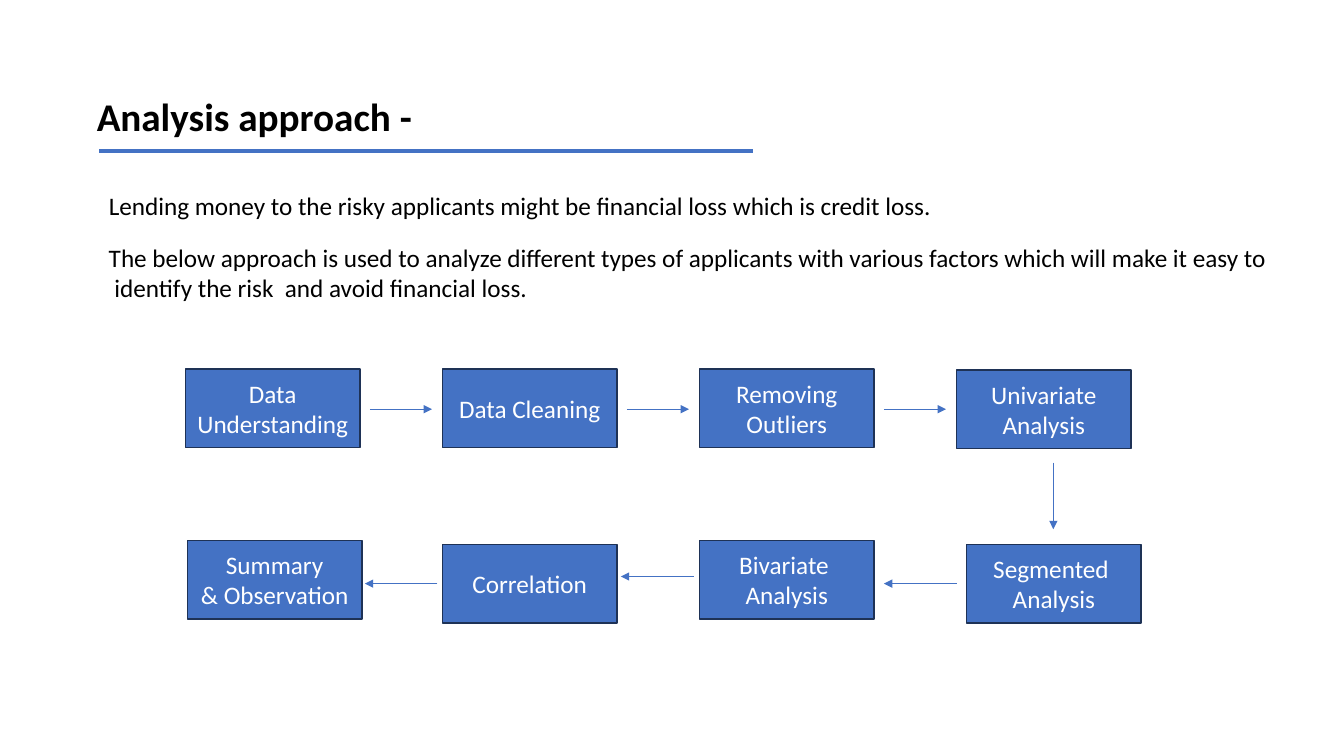
from dataclasses import dataclass

from lxml.etree import SubElement
from pptx import Presentation
from pptx.dml.color import RGBColor
from pptx.enum.shapes import MSO_CONNECTOR as Connector, MSO_SHAPE as Shape
from pptx.enum.text import MSO_ANCHOR as Anchor, MSO_AUTO_SIZE as AutoSize, PP_ALIGN as Align
from pptx.oxml.ns import qn
from pptx.util import Pt


@dataclass(frozen=True)
class Theme:
    font: str = "Calibri"
    title_size: int = 28
    body_size: int = 18
    ink: RGBColor = RGBColor(0x00, 0x00, 0x00)
    accent: RGBColor = RGBColor(0x44, 0x72, 0xC4)
    border: RGBColor = RGBColor(0x1E, 0x32, 0x56)
    light: RGBColor = RGBColor(0xFF, 0xFF, 0xFF)


class FlowSlide:
    def __init__(self, deck, theme):
        self.theme = theme
        self.slide = deck.slides.add_slide(deck.slide_layouts[5])

    def fill_text(self, frame, lines, color, align, size=None, bold=False):
        frame.text = "\n".join(lines)
        for paragraph in frame.paragraphs:
            paragraph.alignment = align
            paragraph.font.name = self.theme.font
            paragraph.font.size = Pt(size or self.theme.body_size)
            paragraph.font.bold = bold
            paragraph.font.color.rgb = color

    def title(self, text, left, top, width, height, inset=14.4):
        heading = self.slide.shapes.title
        heading.left, heading.top = Pt(left), Pt(top)
        heading.width, heading.height = Pt(width), Pt(height)
        frame = heading.text_frame
        frame.auto_size = AutoSize.NONE
        frame.word_wrap = True
        frame.vertical_anchor = Anchor.TOP
        frame.margin_left = frame.margin_right = Pt(inset)
        frame.margin_top = frame.margin_bottom = Pt(inset)
        self.fill_text(frame, [text], self.theme.ink, Align.LEFT, self.theme.title_size, True)
        frame.paragraphs[0].line_spacing = 0.9
        frame.paragraphs[0].space_before = Pt(4)

    def note(self, lines, left, top, width, height, align=Align.LEFT):
        box = self.slide.shapes.add_textbox(Pt(left), Pt(top), Pt(width), Pt(height))
        box.text_frame.word_wrap = False
        box.text_frame.auto_size = AutoSize.SHAPE_TO_FIT_TEXT
        self.fill_text(box.text_frame, lines, self.theme.ink, align)

    def step(self, lines, left, top, width=124.6, height=56.2):
        box = self.slide.shapes.add_shape(
            Shape.RECTANGLE, Pt(left), Pt(top), Pt(width), Pt(height))
        box.shadow.inherit = False
        box.fill.solid()
        box.fill.fore_color.rgb = self.theme.accent
        box.line.color.rgb = self.theme.border
        box.line.width = Pt(1)
        box.text_frame.word_wrap = True
        box.text_frame.vertical_anchor = Anchor.MIDDLE
        self.fill_text(box.text_frame, lines, self.theme.light, Align.CENTER)

    def line(self, start, end, weight):
        rule = self.slide.shapes.add_connector(
            Connector.STRAIGHT, *(Pt(length) for length in (*start, *end)))
        rule.line.color.rgb = self.theme.accent
        rule.line.width = Pt(weight)
        SubElement(rule.element.spPr, qn("a:effectLst"))
        return rule

    def arrow(self, start, end):
        outline = self.line(start, end, 0.5).element.spPr.find(qn("a:ln"))
        SubElement(outline, qn("a:tailEnd"), type="triangle")


def main():
    deck = Presentation()
    deck.slide_width, deck.slide_height = Pt(960), Pt(540)
    approach = FlowSlide(deck, Theme())

    approach.title("Analysis approach -", 54.7, 55.4, 483.1, 52.6)
    approach.line((70.8, 108), (538, 108), 3)
    approach.note(
        ["The below approach is used to analyze different types of applicants "
         "with various factors which will make it easy to",
         " identify the risk  and avoid financial loss."],
        70.6, 169.2, 844.6, 50.9, Align.JUSTIFY)
    approach.note(
        ["Lending money to the risky applicants might be financial loss which is credit loss."],
        70.6, 132.5, 612.7, 29.1)

    first_left, pitch = 132.5, 183.6
    preparation = [
        ("Data Understanding", 263.5),
        ("Data Cleaning", 263.5),
        ("Removing Outliers", 263.5),
        ("Univariate Analysis", 264.2),
    ]
    for column, (name, top) in enumerate(preparation):
        approach.step([name], first_left + column * pitch, top)
    for column in range(len(preparation) - 1):
        gap_left = 264.2 + column * pitch
        approach.arrow((gap_left, 292.3), (gap_left + 44.3, 292.3))

    approach.arrow((752.4, 330.5), (752.4, 378))

    findings = [
        (["Segmented  Analysis"], 690.5, 388.8),
        (["Bivariate  Analysis"], 499.7, 385.9),
        (["Correlation"], 316.1, 388.8),
        (["Summary", "& Observation"], 133.9, 385.9),
    ]
    for lines, left, top in findings:
        approach.step(lines, left, top)
    for right, level in [(683.3, 416.9), (495.4, 411.8), (312.5, 416.9)]:
        approach.arrow((right, level), (right - 51.9, level))

    deck.save("out.pptx")


if __name__ == "__main__":
    main()
